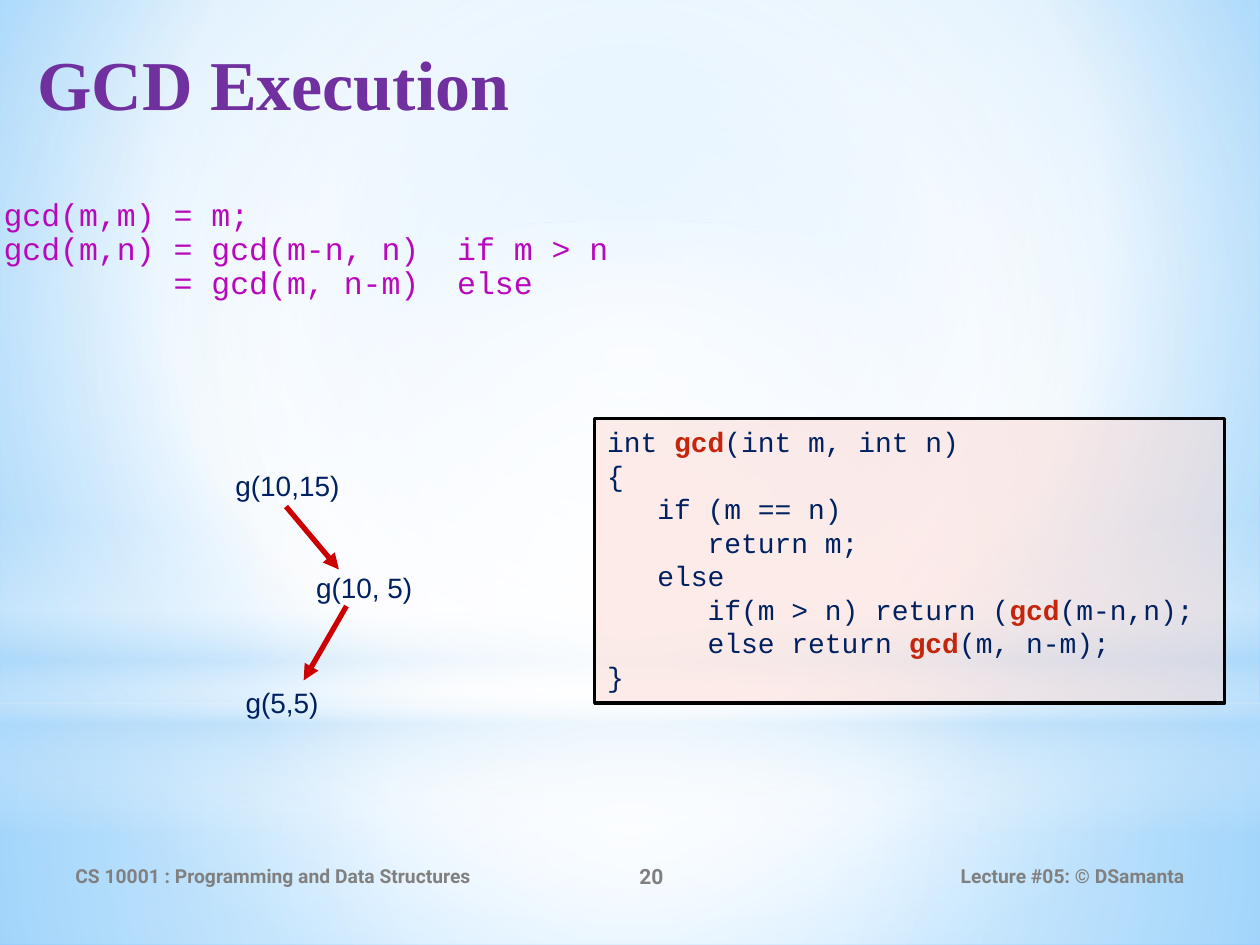
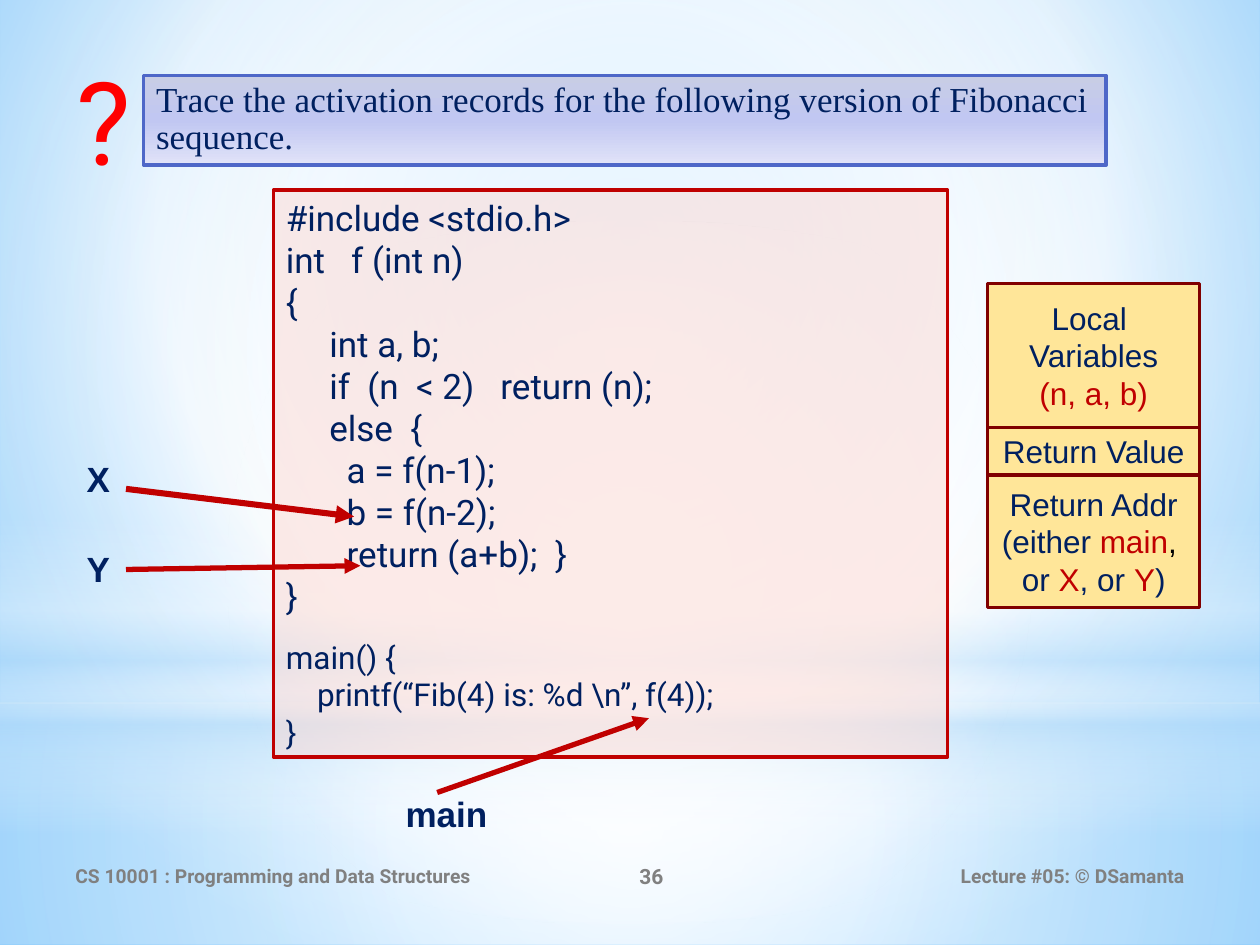
from typing import NamedTuple

import lxml.etree
import pptx
import pptx.dml.color
import pptx.enum.shapes
import pptx.enum.text
import pptx.oxml.ns
import pptx.util

RGB = pptx.dml.color.RGBColor
SHAPE = pptx.enum.shapes.MSO_SHAPE
ALIGN = pptx.enum.text.PP_ALIGN
ANCHOR = pptx.enum.text.MSO_ANCHOR

# Grid: 100 columns by 75 rows of square cells
COLUMNS, ROWS = 100, 75
CELL = pptx.util.Inches(10) // COLUMNS

# Colours
WHITE = RGB(0xFF, 0xFF, 0xFF)
BLACK = RGB(0, 0, 0)
NAVY = RGB(0x00, 0x20, 0x60)
PURPLE = RGB(0x70, 0x30, 0xA0)
MAGENTA = RGB(0xB8, 0x08, 0xBC)
GREY = RGB(0x80, 0x80, 0x80)
PINK = RGB(0xFC, 0xD9, 0xD3)
RUST = RGB(0xC3, 0x26, 0x0C)
DARK_RED = RGB(0xC0, 0x00, 0x00)
ARROW_RED = RGB(0xCC, 0x00, 0x00)
PURE_RED = RGB(0xFF, 0x00, 0x00)
MAROON = RGB(0x80, 0x00, 0x00)
YELLOW = RGB(0xFF, 0xE6, 0x99)
INDIGO = RGB(0x4E, 0x67, 0xC8)
SKY = RGB(0xB4, 0xDC, 0xFA)

# Fonts
SANS, SERIF, MONO, ROBOTO = "Arial", "Times New Roman", "Courier New", "Roboto"


class Place(NamedTuple):
    column: float
    row: float
    columns: float
    rows: float

    def lengths(self) -> list[int]:
        return [round(value * CELL) for value in self]


class Stop(NamedTuple):
    position: int
    colour: RGB
    opacity: int = 100


class Gradient(NamedTuple):
    stops: list[Stop]
    focus: tuple | None = None  # left, top, right, bottom; None runs downwards


class Span(NamedTuple):
    text: str
    colour: RGB
    bold: bool = False


class Band(NamedTuple):
    place: Place
    fill: Gradient
    outline: int = SHAPE.RECTANGLE


class Arrow(NamedTuple):
    start: tuple
    end: tuple
    colour: RGB
    width: float = 3


class Label(NamedTuple):
    text: str
    place: Place


# Shared backdrop
CENTRE = (50, 50, 50, 50)
BACKDROP = Gradient([Stop(0, RGB(0x9E, 0xD5, 0xFF)), Stop(60, WHITE),
                     Stop(100, RGB(0x5B, 0xB9, 0xFF))], (20, 10, 20, 60))
BANDS = [
    Band(Place(0, 55.8, COLUMNS, 19.2),
         Gradient([Stop(0, WHITE, 91), Stop(37, WHITE, 76), Stop(100, SKY, 79)], CENTRE)),
    Band(Place(0, 0, COLUMNS, 55.8),
         Gradient([Stop(0, WHITE, 89), Stop(48, WHITE, 62), Stop(100, SKY, 79)], CENTRE)),
    Band(Place(0, 41.2, COLUMNS, 25),
         Gradient([Stop(0, WHITE, 0), Stop(29, WHITE, 30), Stop(45, SKY, 40),
                   Stop(55, WHITE, 26), Stop(65, SKY, 60), Stop(100, WHITE, 0)])),
    Band(Place(0, 17.5, COLUMNS, 55.8),
         Gradient([Stop(0, WHITE), Stop(56, WHITE, 0)], CENTRE), SHAPE.OVAL),
]


def add_element(parent, tag: str, **attributes):
    """Append a drawing element to its parent."""
    values = {name: str(value) for name, value in attributes.items()}
    return lxml.etree.SubElement(parent, pptx.oxml.ns.qn(f"a:{tag}"), values)


def paint_gradient(fill, owner, gradient: Gradient) -> None:
    fill.gradient()
    element = next(owner.iter(pptx.oxml.ns.qn("a:gradFill")))
    for child in list(element):
        element.remove(child)
    stop_list = add_element(element, "gsLst")
    for stop in gradient.stops:
        entry = add_element(stop_list, "gs", pos=stop.position * 1000)
        colour = add_element(entry, "srgbClr", val=stop.colour)
        if stop.opacity < 100:
            add_element(colour, "alpha", val=stop.opacity * 1000)
    if gradient.focus:
        circle = add_element(element, "path", path="circle")
        sides = {side: share * 1000 for side, share in zip("ltrb", gradient.focus)}
        add_element(circle, "fillToRect", **sides)
    else:
        add_element(element, "lin", ang=90 * 60000, scaled=0)


def add_panel(page, place: Place, fill: RGB | Gradient, *, outline: int = SHAPE.RECTANGLE,
              opacity: int = 100, border: RGB | None = None, width: float = 2):
    box = page.shapes.add_shape(outline, *place.lengths())
    box.shadow.inherit = False
    if isinstance(fill, Gradient):
        paint_gradient(box.fill, box._element.spPr, fill)
    else:
        box.fill.solid()
        box.fill.fore_color.rgb = fill
        if opacity < 100:
            colour = next(box._element.spPr.iter(pptx.oxml.ns.qn("a:srgbClr")))
            add_element(colour, "alpha", val=opacity * 1000)
    if border is None:
        box.line.fill.background()
    else:
        box.line.color.rgb = border
        box.line.width = pptx.util.Pt(width)
    return box


def write(box, text: str | list, *, font: str = SANS, size: float = 16, colour: RGB = NAVY,
          bold: bool = False, align: int = ALIGN.LEFT, anchor: int = ANCHOR.TOP,
          wrap: bool = True, spacing: float | None = None, gap: float = 0) -> None:
    """Add paragraphs to a box; gap is the space above them when others come first."""
    frame = box.text_frame
    frame.word_wrap, frame.vertical_anchor = wrap, anchor
    for index, line in enumerate([text] if isinstance(text, str) else text):
        if frame.text:
            para = frame.add_paragraph()
            if gap and index == 0:
                para.space_before = pptx.util.Pt(gap)
        else:
            para = frame.paragraphs[0]
        para.alignment = align
        if spacing:
            para.line_spacing = spacing
        for part in [line] if isinstance(line, str) else line:
            span = part if isinstance(part, Span) else Span(part, colour, bold)
            run = para.add_run()
            run.text = span.text
            run.font.name, run.font.size = font, pptx.util.Pt(size)
            run.font.bold, run.font.color.rgb = span.bold, span.colour


def add_text(page, place: Place, text: str | list, **style) -> None:
    write(page.shapes.add_textbox(*place.lengths()), text, **style)


def add_arrow(page, arrow: Arrow) -> None:
    ends = [round(value * CELL) for value in arrow.start + arrow.end]
    line = page.shapes.add_connector(pptx.enum.shapes.MSO_CONNECTOR.STRAIGHT, *ends)
    line.line.color.rgb = arrow.colour
    line.line.width = pptx.util.Pt(arrow.width)
    add_element(line.line._get_or_add_ln(), "tailEnd", type="triangle")
    add_element(line._element.spPr, "effectLst")


def add_page(deck, number: int):
    """Start a page with the shared backdrop and footer."""
    page = deck.slides.add_slide(deck.slide_layouts[6])
    paint_gradient(page.background.fill, page._element, BACKDROP)
    for band in BANDS:
        add_panel(page, band.place, band.fill, outline=band.outline)
    footers = [
        (Place(5, 67.5, 36.7, 4), "CS 10001 : Programming and Data Structures", 11, ALIGN.LEFT),
        (Place(41.7, 67.5, 20, 4), str(number), 12, ALIGN.CENTER),
        (Place(67.5, 67.5, 27.5, 4), "Lecture #05: © DSamanta", 11, ALIGN.RIGHT),
    ]
    for place, text, size, align in footers:
        add_text(page, place, text, font=ROBOTO, size=size, colour=GREY, bold=True,
                 align=align, anchor=ANCHOR.MIDDLE)
    return page


def build_gcd_page(deck) -> None:
    page = add_page(deck, 20)
    add_text(page, Place(2, 2.7, 95.3, 11), "GCD Execution",
             font=SERIF, size=40, colour=PURPLE, bold=True)

    # Definition
    add_text(page, Place(-0.7, 15.3, 56.3, 9.2),
             ["gcd(m,m) = m;",
              "gcd(m,n) = gcd(m-n, n)  if m > n",
              "         = gcd(m, n-m)  else"],
             font=MONO, size=18, colour=MAGENTA, spacing=0.9)

    # Code
    gcd = Span("gcd", RUST, True)
    code = add_panel(page, Place(47.2, 33.2, 50, 22.6), PINK, opacity=49, border=BLACK)
    write(code, [["int ", gcd, "(int m, int n)"],
                 "{",
                 "   if (m == n)",
                 "      return m;",
                 "   else",
                 ["      if(m > n) return (", gcd, "(m-n,n);"],
                 ["      else return ", gcd, "(m, n-m);"],
                 "}"], font=MONO)

    # Chain of calls
    for call in [Label("g(10,15)", Place(17.7, 36.7, 11.2, 3.7)),
                 Label("g(10, 5)", Place(24.1, 44.8, 11.2, 3.7)),
                 Label("g(5,5)", Place(18.5, 53.9, 11.2, 3.7))]:
        add_text(page, call.place, call.text)
    for arrow in [Arrow((22.7, 40.2), (26.9, 45.2), ARROW_RED),
                  Arrow((27.5, 48.1), (24.1, 54), ARROW_RED)]:
        add_arrow(page, arrow)


def build_fibonacci_page(deck) -> None:
    page = add_page(deck, 36)

    # Question
    shades = Gradient([Stop(0, RGB(0xC8, 0xCD, 0xE5)), Stop(50, RGB(0xC1, 0xC7, 0xF2)),
                       Stop(100, RGB(0xE1, 0xE3, 0xF8))])
    question = add_panel(page, Place(11.4, 6, 76.4, 7.1), shades, border=INDIGO)
    write(question,
          "Trace the activation records for the following version of Fibonacci sequence.",
          font=SERIF, size=20, spacing=0.9)
    add_text(page, Place(5.1, 3.5, 5.3, 12.1), "?", font=ROBOTO, size=66, colour=PURE_RED)

    # Code
    code = add_panel(page, Place(21.7, 15.1, 53.5, 45), PINK, opacity=50, border=DARK_RED)
    write(code, ["#include <stdio.h>",
                 "int   f (int n)",
                 "{",
                 "     int a, b;",
                 "     if  (n  < 2)   return (n);",
                 "     else  {",
                 "       a = f(n-1);",
                 "       b = f(n-2);",
                 "       return (a+b);  }",
                 "}"], font=ROBOTO, size=20)
    write(code, ["main() {",
                 "    printf(“Fib(4) is: %d \\n”, f(4));",
                 "}"], font=ROBOTO, size=18, gap=12)

    # Activation record, stacked from the top
    record = [
        (11.4, ["Local ", "Variables", [Span("(n, a, b)", DARK_RED)]]),
        (3.8, ["Return Value"]),
        (10.5, ["Return Addr",
                ["(either ", Span("main", DARK_RED), Span(", ", BLACK)],
                ["or ", Span("X", DARK_RED), ", or ", Span("Y", DARK_RED), ")"]]),
    ]
    top = 22.5
    for height, lines in record:
        field = add_panel(page, Place(78.4, top, 16.8, height), YELLOW,
                          border=MAROON, width=1.75)
        write(field, lines, size=18, align=ALIGN.CENTER, anchor=ANCHOR.MIDDLE, wrap=False)
        top += height

    # Return addresses
    for address in [Label("X", Place(5.9, 35.8, 4.4, 4.3)),
                    Label("Y", Place(5.9, 43, 4.4, 4.3)),
                    Label("main", Place(31.2, 62.4, 10.9, 4.4))]:
        add_text(page, address.place, address.text, size=20, bold=True)
    for arrow in [Arrow((10, 38.8), (28.1, 41), DARK_RED, 3.5),
                  Arrow((10, 45.2), (28.6, 44.9), DARK_RED),
                  Arrow((34.7, 62.9), (51.5, 57), DARK_RED)]:
        add_arrow(page, arrow)


def main() -> None:
    deck = pptx.Presentation()
    deck.slide_width, deck.slide_height = COLUMNS * CELL, ROWS * CELL
    build_gcd_page(deck)
    build_fibonacci_page(deck)
    deck.save("out.pptx")


if __name__ == "__main__":
    main()
